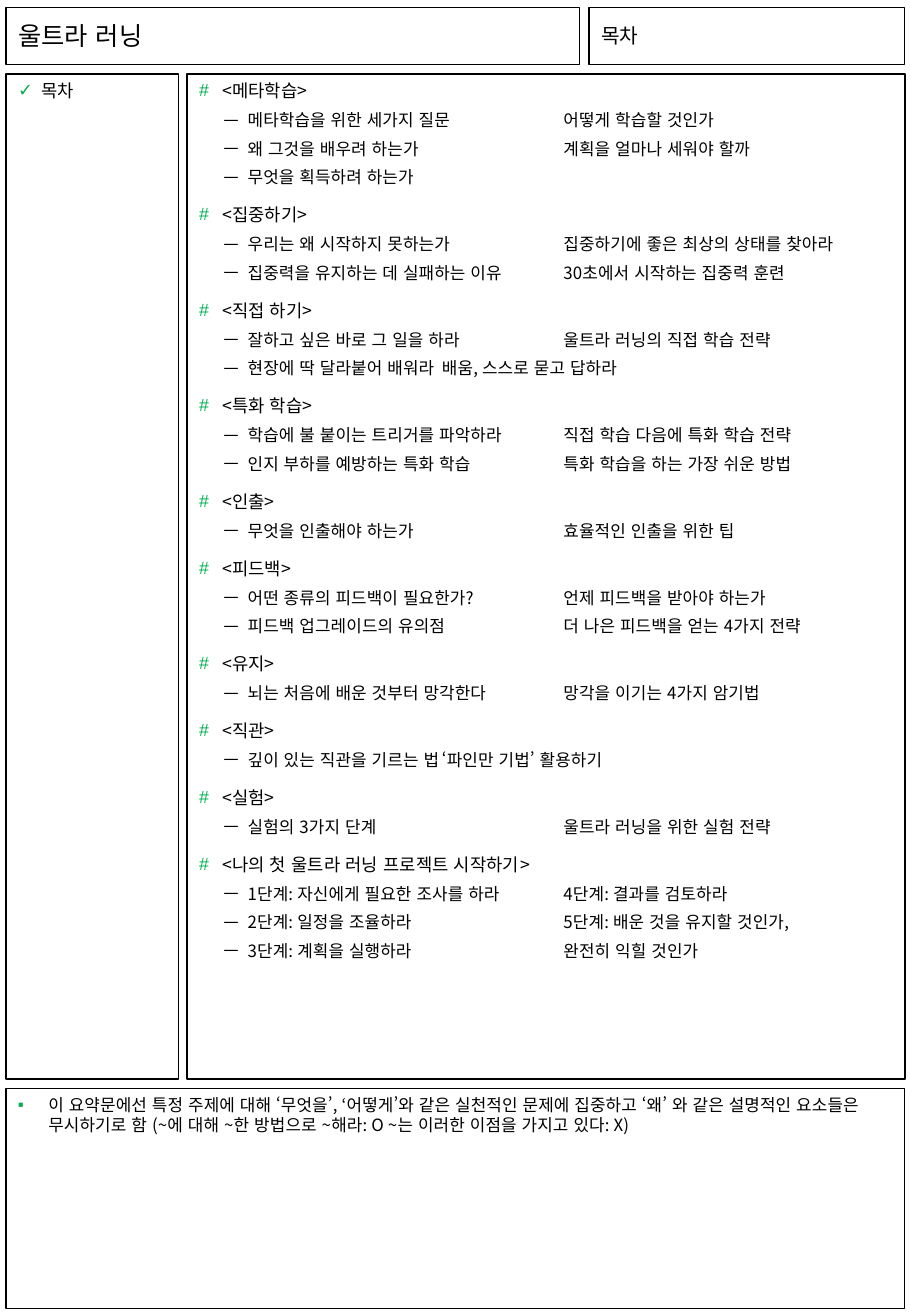
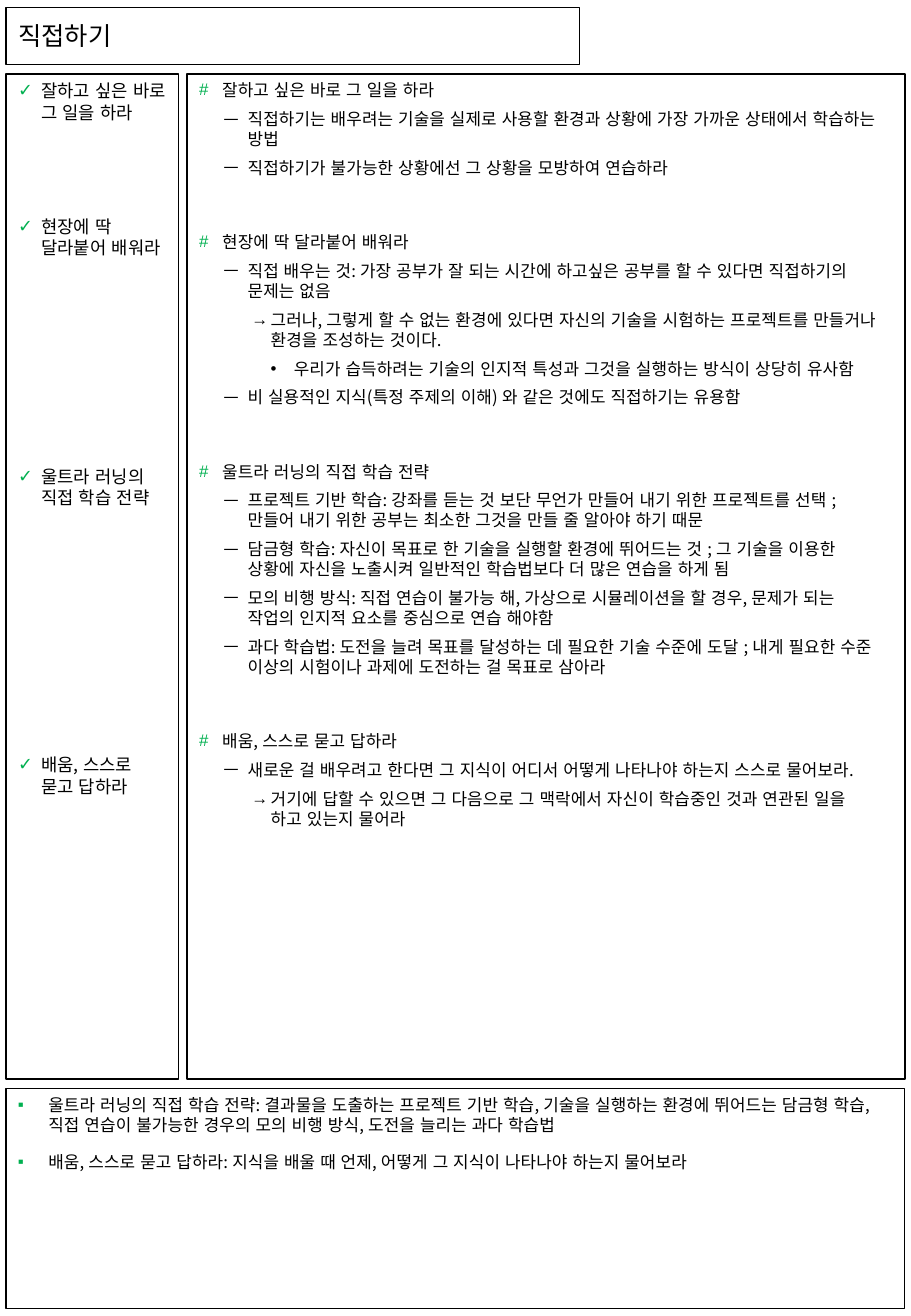
"""Build the contents page and one chapter page of a Korean study summary."""
from dataclasses import dataclass, replace

from lxml.etree import SubElement
from pptx import Presentation
from pptx.dml.color import RGBColor
from pptx.enum.lang import MSO_LANGUAGE_ID as Language
from pptx.enum.text import MSO_ANCHOR as Anchor
from pptx.oxml.ns import qn
from pptx.util import Inches, Pt

FONT = "Noto Sans CJK KR"
BLACK, GREEN = "000000", "00B050"
LINE_HEIGHT = 1.2
SECTION_GAP = 10
TRACKING = 12

TITLE_BOX = (0.05, 0.06, 4.72, 0.47)
TOPIC_BOX = (4.85, 0.06, 2.6, 0.47)
CUE_BOX = (0.05, 0.61, 1.42, 8.27)
NOTES_BOX = (1.54, 0.61, 5.91, 8.27)
SUMMARY_BOX = (0.05, 8.96, 7.4, 1.81)


@dataclass(frozen=True)
class Style:
    size: float
    bullet: str = ""
    left: float = 0
    hanging: float = 0
    before: float = SECTION_GAP
    bullet_color: str = BLACK
    bullet_font: str = "Arial"
    tab: float = 0


TITLE = Style(15)
TOPIC = Style(12)
CUE = Style(10.5, "✓", 0.19, 0.19, bullet_color=GREEN)
CHAPTER = replace(CUE, bullet="#")
HEADING = replace(CHAPTER, size=10)
POINT = Style(10, "ￚ", 0.4, 0.2, 5, bullet_font=FONT)
WIDE_PAIR = replace(POINT, tab=3)
CLOSE_PAIR = replace(POINT, tab=2)
RESULT = Style(10, "→", 0.59, 0.16, 5)
DETAIL = Style(10, "•", 0.78, 0.19, 5)
SUMMARY = Style(10, "▪", 0.25, 0.25, bullet_color=GREEN)

CONTENTS_NOTES = [
    (CHAPTER, "<메타학습>"),
    (WIDE_PAIR, "메타학습을 위한 세가지 질문\t어떻게 학습할 것인가"),
    (WIDE_PAIR, "왜 그것을 배우려 하는가\t계획을 얼마나 세워야 할까"),
    (POINT, "무엇을 획득하려 하는가"),
    (CHAPTER, "<집중하기>"),
    (WIDE_PAIR, "우리는 왜 시작하지 못하는가\t집중하기에 좋은 최상의 상태를 찾아라"),
    (WIDE_PAIR, "집중력을 유지하는 데 실패하는 이유\t30초에서 시작하는 집중력 훈련"),
    (CHAPTER, "<직접 하기>"),
    (WIDE_PAIR, "잘하고 싶은 바로 그 일을 하라\t울트라 러닝의 직접 학습 전략"),
    (CLOSE_PAIR, "현장에 딱 달라붙어 배워라\t배움, 스스로 묻고 답하라"),
    (CHAPTER, "<특화 학습>"),
    (WIDE_PAIR, "학습에 불 붙이는 트리거를 파악하라\t직접 학습 다음에 특화 학습 전략"),
    (WIDE_PAIR, "인지 부하를 예방하는 특화 학습\t특화 학습을 하는 가장 쉬운 방법"),
    (CHAPTER, "<인출>"),
    (WIDE_PAIR, "무엇을 인출해야 하는가\t효율적인 인출을 위한 팁"),
    (CHAPTER, "<피드백>"),
    (WIDE_PAIR, "어떤 종류의 피드백이 필요한가?\t언제 피드백을 받아야 하는가"),
    (WIDE_PAIR, "피드백 업그레이드의 유의점\t더 나은 피드백을 얻는 4가지 전략"),
    (CHAPTER, "<유지>"),
    (WIDE_PAIR, "뇌는 처음에 배운 것부터 망각한다\t망각을 이기는 4가지 암기법"),
    (CHAPTER, "<직관>"),
    (CLOSE_PAIR, "깊이 있는 직관을 기르는 법\t‘파인만 기법’ 활용하기"),
    (CHAPTER, "<실험>"),
    (WIDE_PAIR, "실험의 3가지 단계\t울트라 러닝을 위한 실험 전략"),
    (CHAPTER, "<나의 첫 울트라 러닝 프로젝트 시작하기>"),
    (WIDE_PAIR, "1단계: 자신에게 필요한 조사를 하라\t4단계: 결과를 검토하라"),
    (WIDE_PAIR, "2단계: 일정을 조율하라\t5단계: 배운 것을 유지할 것인가,"),
    (WIDE_PAIR, "3단계: 계획을 실행하라\t완전히 익힐 것인가"),
]
CONTENTS_SUMMARY = [
    (SUMMARY, "이 요약문에선 특정 주제에 대해 ‘무엇을’, ‘어떻게’와 같은 실천적인 문제에 집중하고 "
              "‘왜’ 와 같은 설명적인 요소들은 무시하기로 함 "
              "(~에 대해 ~한 방법으로 ~해라: O ~는 이러한 이점을 가지고 있다: X)"),
]

PRACTICE_CUES = [
    (CUE, "잘하고 싶은 바로 그 일을 하라"),
    (CUE, "현장에 딱 달라붙어 배워라", 2),
    (CUE, "울트라 러닝의 직접 학습 전략", 5),
    (CUE, "배움, 스스로 묻고 답하라", 6),
]
PRACTICE_NOTES = [
    (HEADING, "잘하고 싶은 바로 그 일을 하라"),
    (POINT, "직접하기는 배우려는 기술을 실제로 사용할 환경과 상황에 가장 가까운 상태에서 학습하는 방법"),
    (POINT, "직접하기가 불가능한 상황에선 그 상황을 모방하여 연습하라"),
    (HEADING, "현장에 딱 달라붙어 배워라", 1),
    (POINT, "직접 배우는 것: 가장 공부가 잘 되는 시간에 하고싶은 공부를 할 수 있다면 "
            "직접하기의 문제는 없음"),
    (RESULT, "그러나, 그렇게 할 수 없는 환경에 있다면 자신의 기술을 시험하는 프로젝트를 만들거나 "
             "환경을 조성하는 것이다."),
    (DETAIL, "우리가 습득하려는 기술의 인지적 특성과 그것을 실행하는 방식이 상당히 유사함"),
    (POINT, "비 실용적인 지식(특정 주제의 이해) 와 같은 것에도 직접하기는 유용함"),
    (HEADING, "울트라 러닝의 직접 학습 전략", 1),
    (POINT, "프로젝트 기반 학습: 강좌를 듣는 것 보단 무언가 만들어 내기 위한 프로젝트를 선택 ; "
            "만들어 내기 위한 공부는 최소한 그것을 만들 줄 알아야 하기 때문"),
    (POINT, "담금형 학습: 자신이 목표로 한 기술을 실행할 환경에 뛰어드는 것 ; 그 기술을 이용한 "
            "상황에 자신을 노출시켜 일반적인 학습법보다 더 많은 연습을 하게 됨"),
    (POINT, "모의 비행 방식: 직접 연습이 불가능 해, 가상으로 시뮬레이션을 할 경우, 문제가 되는 "
            "작업의 인지적 요소를 중심으로 연습 해야함"),
    (POINT, "과다 학습법: 도전을 늘려 목표를 달성하는 데 필요한 기술 수준에 도달 ; 내게 필요한 수준 "
            "이상의 시험이나 과제에 도전하는 걸 목표로 삼아라"),
    (HEADING, "배움, 스스로 묻고 답하라", 1),
    (POINT, "새로운 걸 배우려고 한다면 그 지식이 어디서 어떻게 나타나야 하는지 스스로 물어보라."),
    (RESULT, "거기에 답할 수 있으면 그 다음으로 그 맥락에서 자신이 학습중인 것과 연관된 일을 하고 "
             "있는지 물어라"),
]
PRACTICE_SUMMARY = [
    (SUMMARY, "울트라 러닝의 직접 학습 전략: 결과물을 도출하는 프로젝트 기반 학습, 기술을 실행하는 "
              "환경에 뛰어드는 담금형 학습, 직접 연습이 불가능한 경우의 모의 비행 방식, "
              "도전을 늘리는 과다 학습법"),
    (SUMMARY, "배움, 스스로 묻고 답하라: 지식을 배울 때 언제, 어떻게 그 지식이 나타나야 하는지 물어보라"),
]


def rgb(color):
    """Turn a hex string into a colour."""
    return RGBColor.from_string(color)


def add_bullet(paragraph, style):
    """Give a paragraph its hanging indent, bullet and tab stop."""
    props = paragraph._p.get_or_add_pPr()
    props.set("marL", str(Inches(style.left)))
    props.set("indent", str(-Inches(style.hanging)))
    color = SubElement(props, qn("a:buClr"))
    SubElement(color, qn("a:srgbClr"), val=style.bullet_color)
    SubElement(props, qn("a:buFont"), typeface=style.bullet_font)
    SubElement(props, qn("a:buChar"), char=style.bullet)
    if style.tab:
        stops = SubElement(props, qn("a:tabLst"))
        SubElement(stops, qn("a:tab"), pos=str(Inches(style.tab)), algn="l")


def write(paragraph, style, text, skipped_lines, first):
    """Fill one paragraph in the given style."""
    paragraph.text = text
    line = style.size * LINE_HEIGHT
    paragraph.line_spacing = Pt(line)
    gap = style.before + skipped_lines * (SECTION_GAP + line)
    paragraph.space_before = Pt(0 if first else gap)
    if style.bullet:
        add_bullet(paragraph, style)
    font = paragraph.font
    font.size = Pt(style.size)
    font.color.rgb = rgb(BLACK)
    font.name = FONT
    SubElement(font._rPr, qn("a:ea"), typeface=FONT)
    for run in paragraph.runs:
        run.font.language_id = Language.KOREAN
        run.font._rPr.set("spc", str(TRACKING))


def add_panel(slide, box, entries, anchor=Anchor.TOP, right_margin=0.1):
    """Draw an outlined panel holding the (style, text, skipped lines) entries."""
    panel = slide.shapes.add_textbox(*map(Inches, box))
    panel.line.color.rgb = rgb(BLACK)
    panel.line.width = Pt(0.75)
    frame = panel.text_frame
    frame.word_wrap = True
    frame.vertical_anchor = anchor
    frame.margin_right = Inches(right_margin)
    for number, (style, text, *skipped) in enumerate(entries):
        paragraph = frame.add_paragraph() if number else frame.paragraphs[0]
        write(paragraph, style, text, sum(skipped), number == 0)


def add_page(deck, title, cues, notes, summary, topic=None):
    """Add a page with title, cue column, notes and summary."""
    slide = deck.slides.add_slide(deck.slide_layouts[6])
    add_panel(slide, TITLE_BOX, [(TITLE, title)], Anchor.MIDDLE)
    if topic:
        add_panel(slide, TOPIC_BOX, [(TOPIC, topic)], Anchor.MIDDLE)
    add_panel(slide, CUE_BOX, cues)
    add_panel(slide, NOTES_BOX, notes, right_margin=0.2)
    add_panel(slide, SUMMARY_BOX, summary)


def main():
    """Build and save both pages."""
    deck = Presentation()
    deck.slide_width, deck.slide_height = Inches(7.5), Inches(10.83)
    add_page(deck, "울트라 러닝", [(CUE, "목차")], CONTENTS_NOTES, CONTENTS_SUMMARY, "목차")
    add_page(deck, "직접하기", PRACTICE_CUES, PRACTICE_NOTES, PRACTICE_SUMMARY)
    deck.save("out.pptx")


if __name__ == "__main__":
    main()
